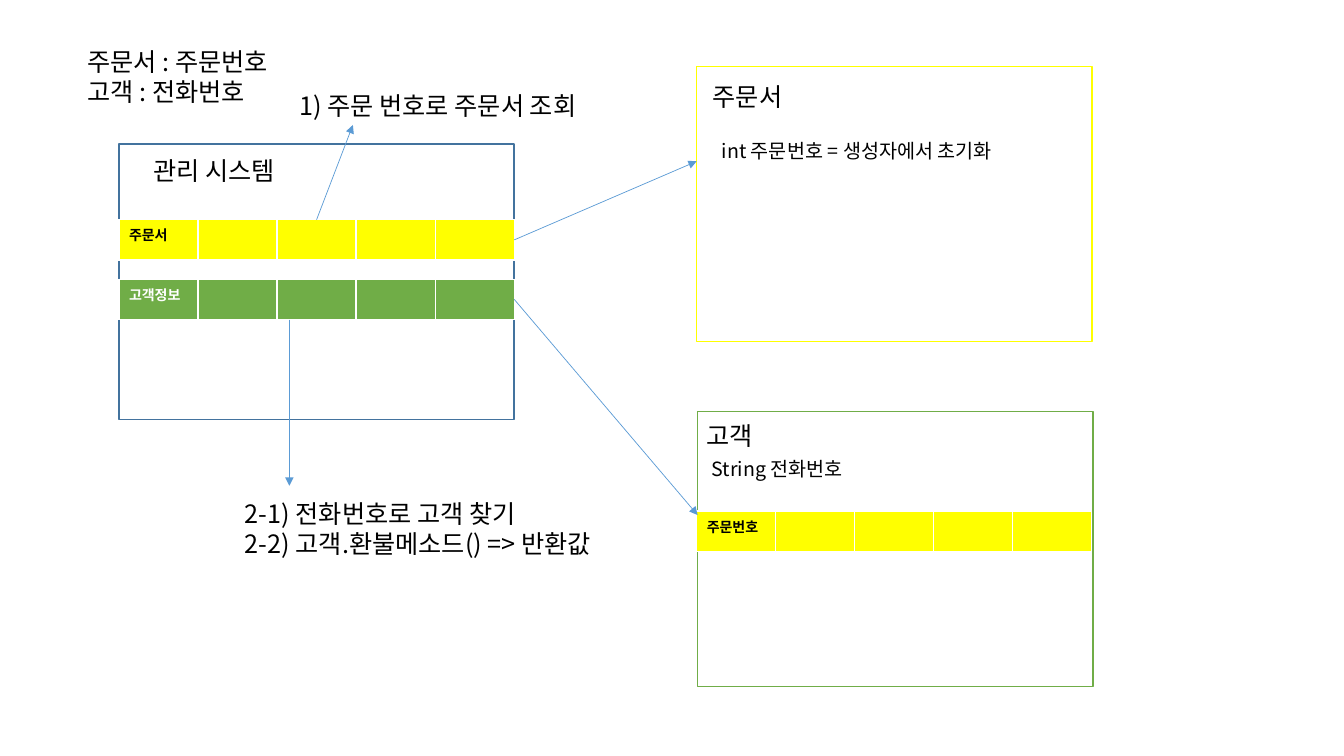
from lxml import etree
from pptx import Presentation
from pptx.dml.color import RGBColor
from pptx.enum.shapes import MSO_CONNECTOR, MSO_SHAPE
from pptx.enum.text import MSO_AUTO_SIZE
from pptx.oxml.ns import qn
from pptx.util import Inches, Pt

RECT = MSO_SHAPE.RECTANGLE
STRAIGHT = MSO_CONNECTOR.STRAIGHT
FIT_SHAPE = MSO_AUTO_SIZE.SHAPE_TO_FIT_TEXT

FONT = "Noto Sans CJK KR"
COLORS = {
    "black": "000000",
    "white": "FFFFFF",
    "navy": "43739E",
    "yellow": "FFFF00",
    "green": "70AD47",
    "arrow": "5B9BD5",
}

BOX_W, BOX_H = 3.92, 2.73
ROW_H, COLUMNS = 0.4, 5

# left, top, line colour
BOXES = [
    (1.18, 1.43, "navy"),
    (6.91, 0.66, "yellow"),
    (6.92, 4.08, "green"),
]

# left, top, first cell, text colour, fill
ARRAYS = [
    (1.18, 2.18, "주문서", "black", "yellow"),
    (1.18, 2.77, "고객정보", "white", "green"),
    (6.91, 5.07, "주문번호", "black", "yellow"),
]

# start x, y, end x, y
ARROWS = [
    (5.1, 2.38, 6.91, 1.6),
    (5.1, 2.97, 6.92, 5.11),
    (3.14, 2.18, 3.5, 1.24),
    (2.87, 3.17, 2.87, 4.82),
]

# left, top, width, height, size, lines
TEXTS = [
    (1.42, 1.49, 1.55, 0.4, 18, ["관리 시스템"]),
    (0.77, 0.41, 2.2, 0.71, 18, ["주문서 : 주문번호", "고객 : 전화번호"]),
    (7.06, 1.33, 3.2, 0.34, 14, ["int 주문번호 = 생성자에서 초기화"]),
    (2.87, 0.85, 3.3, 0.4, 18, ["1) 주문 번호로 주문서 조회"]),
    (2.33, 4.89, 4.02, 0.71, 18,
     ["2-1) 전화번호로 고객 찾기", "2-2) 고객.환불메소드() => 반환값"]),
    (6.96, 4.48, 1.57, 0.34, 14, ["String 전화번호"]),
    (6.97, 0.76, 0.96, 0.4, 18, ["주문서"]),
    (6.91, 4.12, 0.71, 0.4, 18, ["고객"]),
]


def rgb(name):
    return RGBColor.from_string(COLORS[name])


def style_paragraph(p, size, color, bold=False):
    font = p.font
    font.name = FONT
    font.size = Pt(size)
    font.bold = bold
    font.color.rgb = rgb(color)
    # Korean glyphs take the East Asian typeface
    latin = font._element.find(qn("a:latin"))
    east_asian = etree.Element(qn("a:ea"), typeface=FONT)
    latin.addnext(east_asian)


def add_box(s, left, top, color):
    box = s.shapes.add_shape(RECT, Inches(left), Inches(top),
                             Inches(BOX_W), Inches(BOX_H))
    box.shadow.inherit = False
    box.fill.background()
    box.line.color.rgb = rgb(color)
    box.line.width = Pt(1)


def add_array(s, left, top, label, color, fill):
    table = s.shapes.add_table(1, COLUMNS, Inches(left), Inches(top),
                               Inches(BOX_W), Inches(ROW_H)).table
    table.cell(0, 0).text = label
    for cell in table.iter_cells():
        cell.fill.solid()
        cell.fill.fore_color.rgb = rgb(fill)
        style_paragraph(cell.text_frame.paragraphs[0], 10, color, bold=True)


def add_arrow(s, x1, y1, x2, y2):
    arrow = s.shapes.add_connector(STRAIGHT, Inches(x1), Inches(y1),
                                   Inches(x2), Inches(y2))
    arrow.line.color.rgb = rgb("arrow")
    arrow.line.width = Pt(0.5)
    ln = arrow.line._get_or_add_ln()
    etree.SubElement(ln, qn("a:tailEnd"), type="triangle")
    etree.SubElement(arrow._element.spPr, qn("a:effectLst"))


def add_text(s, left, top, width, height, size, lines):
    box = s.shapes.add_textbox(Inches(left), Inches(top),
                               Inches(width), Inches(height))
    tf = box.text_frame
    tf.word_wrap = False
    tf.auto_size = FIT_SHAPE
    tf.text = "\n".join(lines)
    for p in tf.paragraphs:
        style_paragraph(p, size, "black")


def main():
    prs = Presentation()
    prs.slide_width, prs.slide_height = Inches(13.33), Inches(7.5)
    s = prs.slides.add_slide(prs.slide_layouts[6])

    # Class boxes, their arrays, the arrows, then the labels
    for add, items in ((add_box, BOXES), (add_array, ARRAYS),
                       (add_arrow, ARROWS), (add_text, TEXTS)):
        for item in items:
            add(s, *item)

    prs.save("out.pptx")


if __name__ == "__main__":
    main()
